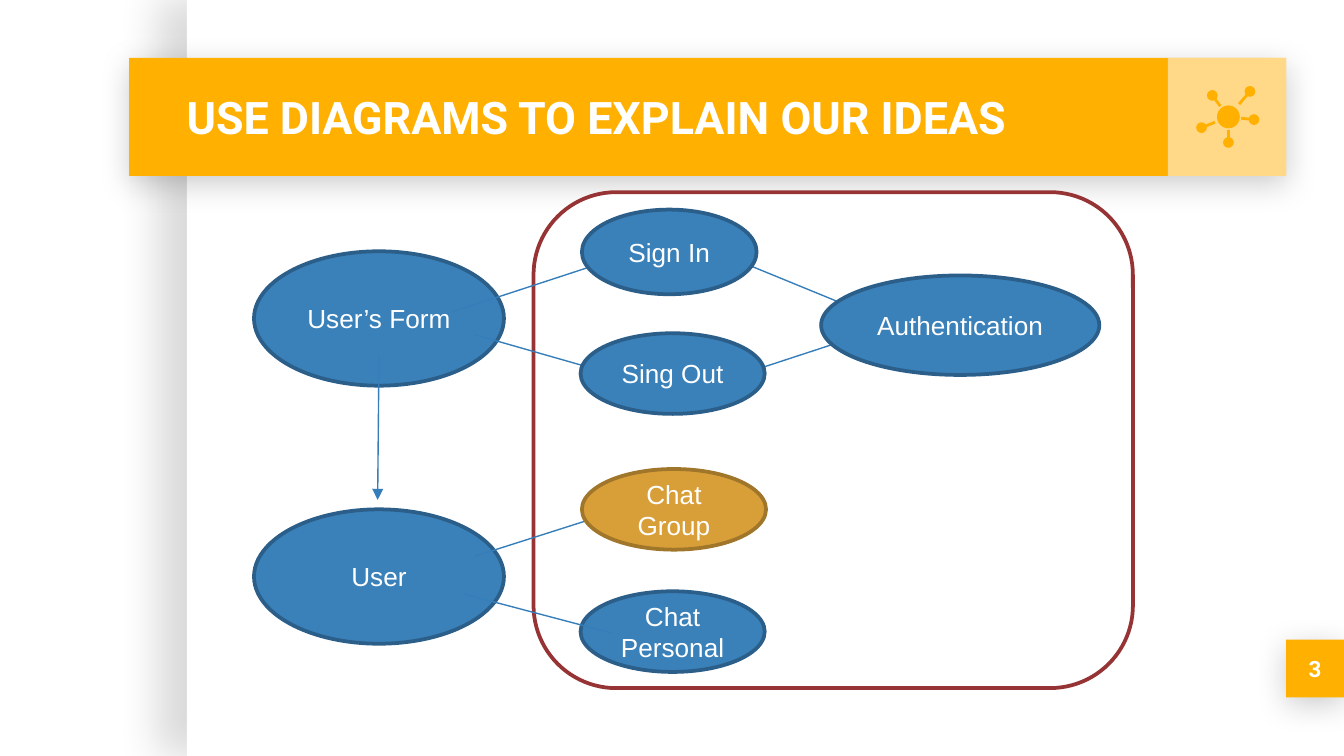
from typing import NamedTuple

from lxml import etree
from pptx import Presentation
from pptx.enum import shapes, text
from pptx.dml.color import RGBColor
from pptx.oxml import ns
from pptx.util import Inches, Pt

COLORS = {
    "white": "FFFFFF",
    "black": "000000",
    "amber": "FFB000",
    "blue": "3A81BA",
    "blue_edge": "2B5F8A",
    "gold": "D89F39",
    "gold_edge": "A0762A",
    "link": "367EB9",
    "frame": "963334",
}
SHAPE = shapes.MSO_SHAPE
SLIDE_WIDTH = 10
SLIDE_HEIGHT = SLIDE_WIDTH * 9 / 16


class Box(NamedTuple):
    left: float
    top: float
    width: float
    height: float


class Shadow(NamedTuple):
    alpha: int
    blur: float
    distance: float
    direction: int


class Node(NamedTuple):
    label: str
    box: Box
    color: str = "blue"


class Link(NamedTuple):
    start: tuple[float, float]
    end: tuple[float, float]
    arrow: bool = False


class Dot(NamedTuple):
    x: float
    y: float
    diameter: float = 0.08


PAGE_SHADOW = Shadow(15, 22.5, 15, 180)
BAR_SHADOW = Shadow(20, 16.9, 3.8, 90)
PAGE = Box(1.39, 0, SLIDE_WIDTH - 1.39, SLIDE_HEIGHT)
BAR = Box(0.96, 0.43, 8.61, 0.88)
BADGE = Box(9.57, 4.76, 0.43, 0.43)
ICON_HUB = Dot(9.14, 0.87, 0.17)
ICON_DOTS = [Dot(9.3, 0.68), Dot(9.02, 0.71), Dot(8.94, 0.95), Dot(9.14, 1.06), Dot(9.33, 0.89)]

SOURCE_NODES = [
    Node("User’s Form", Box(1.89, 1.87, 1.86, 1)),
    Node("User", Box(1.89, 3.79, 1.86, 1)),
]
PERSONAL_NODE = Node("Chat\nPersonal", Box(4.32, 4.4, 1.37, 0.6))
FEATURE_NODES = [
    Node("Chat Group", Box(4.33, 3.49, 1.37, 0.6), "gold"),
    Node("Sign In", Box(4.33, 1.56, 1.3, 0.63)),
    Node("Sing Out", Box(4.32, 2.48, 1.37, 0.6)),
    Node("Authentication", Box(6.11, 2.05, 2.07, 0.74)),
]
LINKS = [
    Link((3.37, 2.32), (4.47, 1.96)),
    Link((3.53, 2.49), (4.65, 2.81)),
    Link((3.53, 4.14), (4.63, 3.79)),
    Link((5.32, 1.87), (6.54, 2.37)),
    Link((5.38, 2.83), (6.48, 2.47)),
    Link((3.45, 4.42), (4.55, 4.71)),
    Link((2.82, 2.65), (2.81, 3.72), arrow=True),
]


def rgb(name: str) -> RGBColor:
    """Look up a named colour."""
    return RGBColor.from_string(COLORS[name])


def add_element(parent, tag: str, **attributes):
    """Append a drawing element with the given attributes."""
    values = {key: str(value) for key, value in attributes.items()}
    return etree.SubElement(parent, ns.qn(tag), values)


def draw_shape(slide, kind, box: Box, fill: str, edge: str | None = None):
    """Draw a filled preset shape, outlined if an edge colour is given."""
    shape = slide.shapes.add_shape(kind, *map(Inches, box))
    shape.shadow.inherit = False
    shape.fill.solid()
    shape.fill.fore_color.rgb = rgb(fill)
    if edge:
        shape.line.color.rgb = rgb(edge)
        shape.line.width = Pt(2)
    else:
        shape.line.fill.background()
    return shape


def cast_shadow(shape, shadow: Shadow) -> None:
    """Give a shape a soft outer shadow."""
    effects = shape._element.spPr.find(ns.qn("a:effectLst"))
    outer = add_element(
        effects, "a:outerShdw", blurRad=Pt(shadow.blur), dist=Pt(shadow.distance),
        dir=shadow.direction * 60000, algn="bl", rotWithShape=0,
    )
    color = add_element(outer, "a:srgbClr", val=COLORS["black"])
    add_element(color, "a:alpha", val=shadow.alpha * 1000)


def write(shape, label: str, size: float, font: str, align, bold: bool = False, inset: float = 0.1) -> None:
    """Set vertically centred white text, one paragraph per line."""
    frame = shape.text_frame
    frame.word_wrap = True
    frame.vertical_anchor = text.MSO_ANCHOR.MIDDLE
    frame.margin_left = frame.margin_right = Inches(inset)
    frame.margin_top = frame.margin_bottom = Inches(inset)
    frame.text = label
    for paragraph in frame.paragraphs:
        paragraph.alignment = align
        paragraph.font.size = Pt(size)
        paragraph.font.name = font
        paragraph.font.bold = bold
        paragraph.font.color.rgb = rgb("white")


def draw_link(slide, link: Link, color: str = "link", width: float = 0.75) -> None:
    """Draw a straight line, with an arrowhead if asked."""
    connector = slide.shapes.add_connector(
        shapes.MSO_CONNECTOR.STRAIGHT, *map(Inches, link.start + link.end)
    )
    connector.line.color.rgb = rgb(color)
    connector.line.width = Pt(width)
    if link.arrow:
        add_element(connector.line._get_or_add_ln(), "a:tailEnd", type="triangle")
    add_element(connector._element.spPr, "a:effectLst")


def draw_node(slide, node: Node) -> None:
    """Draw a labelled ellipse."""
    shape = draw_shape(slide, SHAPE.OVAL, node.box, node.color, f"{node.color}_edge")
    write(shape, node.label, 14, "Arial", text.PP_ALIGN.CENTER, inset=0.05)


def draw_dot(slide, dot: Dot) -> None:
    """Draw an icon dot around its centre."""
    radius = dot.diameter / 2
    box = Box(dot.x - radius, dot.y - radius, dot.diameter, dot.diameter)
    draw_shape(slide, SHAPE.OVAL, box, "amber")


def draw_icon(slide) -> None:
    """Draw the hub icon with spokes that stop short of the hub."""
    for dot in ICON_DOTS:
        inner = (ICON_HUB.x + 0.5 * (dot.x - ICON_HUB.x), ICON_HUB.y + 0.5 * (dot.y - ICON_HUB.y))
        draw_link(slide, Link((dot.x, dot.y), inner), "amber", 1.5)
        draw_dot(slide, dot)
    draw_dot(slide, ICON_HUB)


def draw_header(slide) -> None:
    """Draw the page panel, number badge, title bar and icon."""
    page = draw_shape(slide, SHAPE.RECTANGLE, PAGE, "white")
    cast_shadow(page, PAGE_SHADOW)
    badge = draw_shape(slide, SHAPE.RECTANGLE, BADGE, "amber")
    cast_shadow(badge, BAR_SHADOW)
    write(badge, "3", 12, "Roboto", text.PP_ALIGN.CENTER, bold=True)
    bar = draw_shape(slide, SHAPE.RECTANGLE, BAR, "amber")
    cast_shadow(bar, BAR_SHADOW)
    tile = draw_shape(slide, SHAPE.RECTANGLE, Box(8.69, BAR.top, BAR.height, BAR.height), "white")
    add_element(tile._element.spPr.find(f".//{ns.qn('a:srgbClr')}"), "a:alpha", val=53000)
    title = slide.shapes.add_textbox(*map(Inches, (1.29, BAR.top, 7.37, BAR.height)))
    write(title, "USE DIAGRAMS TO EXPLAIN OUR IDEAS", 24, "Roboto", text.PP_ALIGN.LEFT, bold=True)
    draw_icon(slide)


def main() -> None:
    """Build the slide and save it."""
    presentation = Presentation()
    presentation.slide_width = Inches(SLIDE_WIDTH)
    presentation.slide_height = Inches(SLIDE_HEIGHT)
    slide = presentation.slides.add_slide(presentation.slide_layouts[6])
    draw_header(slide)
    draw_shape(slide, SHAPE.ROUNDED_RECTANGLE, Box(3.97, 1.43, 4.46, 3.69), "white", "frame")
    for node in [*SOURCE_NODES, PERSONAL_NODE]:
        draw_node(slide, node)
    for link in LINKS:
        draw_link(slide, link)
    for node in FEATURE_NODES:
        draw_node(slide, node)
    presentation.save("out.pptx")


if __name__ == "__main__":
    main()
